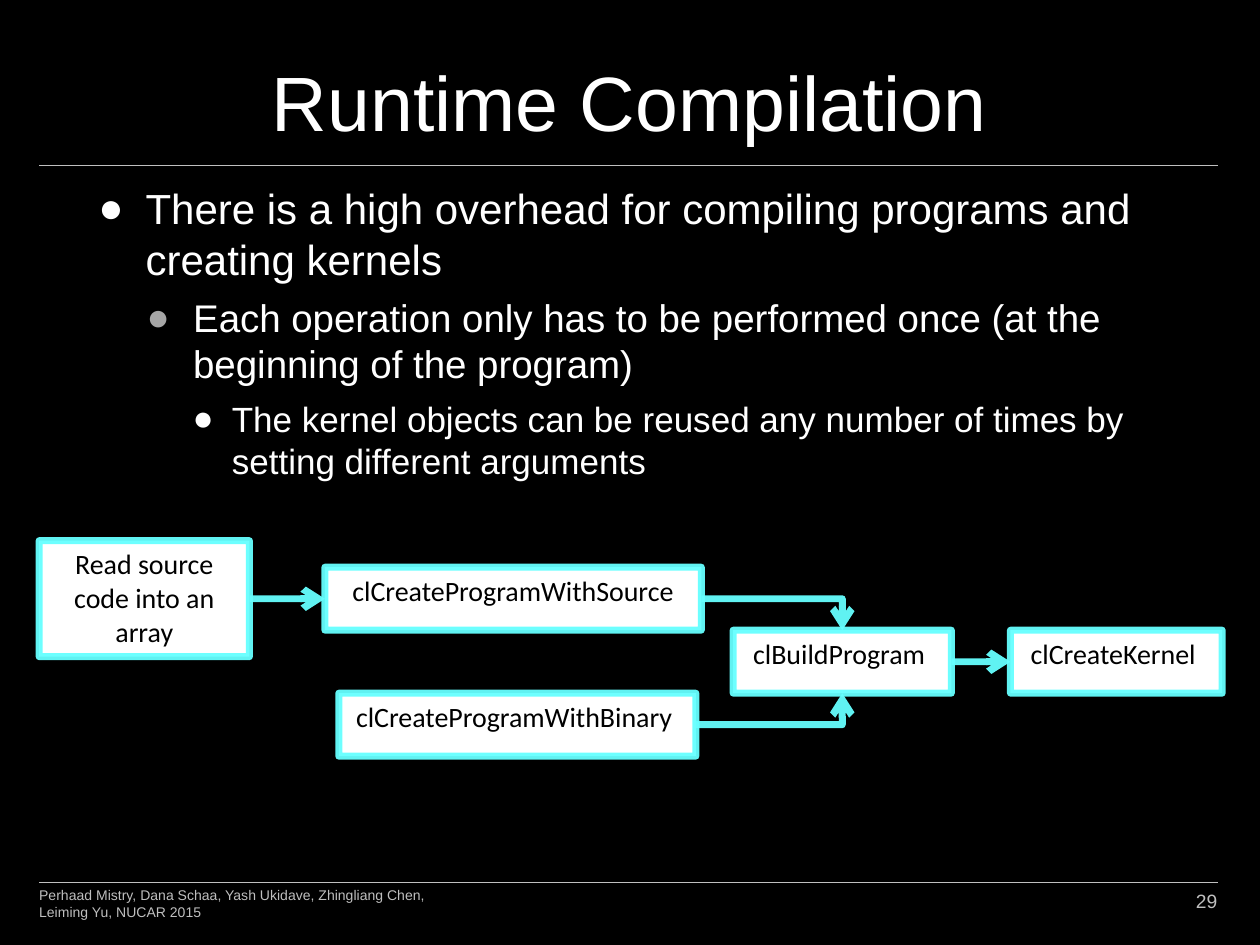
from lxml.etree import SubElement
from pptx import Presentation
from pptx.dml.color import RGBColor
from pptx.enum.shapes import MSO_CONNECTOR, MSO_SHAPE
from pptx.enum.text import MSO_ANCHOR, MSO_AUTO_SIZE, PP_ALIGN
from pptx.oxml.ns import qn
from pptx.util import Cm, Pt

COLORS = {"black": "000000", "white": "FFFFFF", "cyan": "66FFFF",
          "rule": "BFBFBF", "bullet": "A6A6A6"}
TOP, LEFT, BOTTOM, RIGHT = range(4)
MARGIN, RULE_RIGHT = 0.79, 24.56
ROW_TOP, ROW_STEP, BOX_H = 12.07, 1.27, 1.27

# text, left margin, first-line indent, space before, size, bullet colour
BULLETS = [
    ("There is a high overhead for compiling programs and creating kernels",
     0.95, -0.95, 20, 24, "white"),
    ("Each operation only has to be performed once (at the beginning of the program)",
     1.91, -0.94, 6, 22, "bullet"),
    ("The kernel objects can be reused any number of times by setting different arguments",
     2.69, -0.79, 6, 20, "white"),
]
# key: text, left, width, row, height
STEPS = {
    "source": ("clCreateProgramWithSource", 6.55, 7.59, 0, BOX_H),
    "binary": ("clCreateProgramWithBinary ", 6.83, 7.2, 2, BOX_H),
    "build": ("clBuildProgram ", 14.78, 4.4, 1, BOX_H),
    "kernel": ("clCreateKernel ", 20.37, 4.27, 1, BOX_H),
    "read": ("Read source code into an array", MARGIN, 4.24, 0, 2.34),
}
ARROWS = [("read", "source", LEFT), ("source", "build", TOP),
          ("binary", "build", BOTTOM), ("build", "kernel", LEFT)]


def rgb(name):
    return RGBColor.from_string(COLORS[name])


def apply(target, **values):
    for name, value in values.items():
        setattr(target, name, value)


def place(sp, left, top, width, height):
    apply(sp, left=Cm(left), top=Cm(top), width=Cm(width), height=Cm(height))


def write(p, text, size, color, font="Arial", align=PP_ALIGN.LEFT):
    p.alignment = align
    r = p.add_run()
    r.text = text
    apply(r.font, name=font, size=Pt(size))
    r.font.color.rgb = rgb(color)


def style_line(line, color, width, alpha=None):
    line.color.rgb = rgb(color)
    line.width = Pt(width)
    if alpha:
        clr = line.fill._xPr.find(".//" + qn("a:srgbClr"))
        SubElement(clr, qn("a:alpha"), val=str(alpha * 1000))


def add_title(s, text):
    sp = s.shapes.title
    place(sp, 1.78, 0.3, 21.82, 2.79)
    apply(sp.text_frame, vertical_anchor=MSO_ANCHOR.BOTTOM,
          auto_size=MSO_AUTO_SIZE.NONE)
    write(sp.text_frame.paragraphs[0], text, 44, "white", align=PP_ALIGN.CENTER)


def add_bullets(s):
    sp = s.placeholders[1]
    place(sp, 1.73, 3.56, 21.89, 7.14)
    tf = sp.text_frame
    tf.auto_size = MSO_AUTO_SIZE.NONE
    for level, (text, margin, indent, before, size, color) in enumerate(BULLETS):
        p = tf.add_paragraph() if level else tf.paragraphs[0]
        apply(p, level=level, space_before=Pt(before))
        write(p, text, size, "white")
        pPr = p._p.get_or_add_pPr()
        pPr.set("marL", str(Cm(margin)))
        pPr.set("indent", str(Cm(indent)))
        SubElement(SubElement(pPr, qn("a:buClr")), qn("a:srgbClr"), val=COLORS[color])
        SubElement(pPr, qn("a:buChar"), char="●")


def add_step(s, text, left, width, row, height):
    center = ROW_TOP + row * ROW_STEP
    sp = s.shapes.add_shape(MSO_SHAPE.RECTANGLE, Cm(left), Cm(center - height / 2),
                            Cm(width), Cm(height))
    sp.shadow.inherit = False
    sp.fill.solid()
    sp.fill.fore_color.rgb = rgb("white")
    style_line(sp.line, "cyan", 4, 95)
    apply(sp.text_frame, word_wrap=True, vertical_anchor=MSO_ANCHOR.TOP)
    write(sp.text_frame.paragraphs[0], text, 16, "black", "Calibri", PP_ALIGN.CENTER)
    return sp


def add_line(s, kind, ends=(0, 0, 0, 0)):
    c = s.shapes.add_connector(kind, *(Cm(v) for v in ends))
    SubElement(c._element.spPr, qn("a:effectLst"))
    return c


def add_rule(s, y):
    c = add_line(s, MSO_CONNECTOR.STRAIGHT, (MARGIN, y, RULE_RIGHT, y))
    style_line(c.line, "rule", 0.25)


def add_arrow(s, start, end, side):
    """Join the right of one box to a side of another, turning once if needed."""
    straight = side == LEFT
    c = add_line(s, MSO_CONNECTOR.STRAIGHT if straight else MSO_CONNECTOR.ELBOW)
    c.begin_connect(start, RIGHT)
    c.end_connect(end, side)
    if not straight:
        c._element.spPr.find(qn("a:prstGeom")).set("prst", "bentConnector2")
    style_line(c.line, "cyan", 4, 95)
    SubElement(c.line._get_or_add_ln(), qn("a:tailEnd"), type="arrow")


def add_footer(s, text, left, width, size, align, anchor):
    sp = s.shapes.add_textbox(Cm(left), Cm(17.65), Cm(width), Cm(1.02))
    apply(sp.text_frame, word_wrap=True, vertical_anchor=anchor,
          margin_left=0, margin_right=0)
    write(sp.text_frame.paragraphs[0], text, size, "rule", align=align)


def main():
    prs = Presentation()
    apply(prs, slide_width=Cm(25.4), slide_height=Cm(19.05))
    s = prs.slides.add_slide(prs.slide_layouts[1])
    s.background.fill.solid()
    s.background.fill.fore_color.rgb = rgb("black")

    for y in (3.33, 17.78):
        add_rule(s, y)
    add_title(s, "Runtime Compilation")
    add_bullets(s)
    boxes = {key: add_step(s, *step) for key, step in STEPS.items()}
    for start, end, side in ARROWS:
        add_arrow(s, boxes[start], boxes[end], side)
    add_footer(s, "29", 22.43, 2.11, 11, PP_ALIGN.RIGHT, MSO_ANCHOR.MIDDLE)
    add_footer(s, "Perhaad Mistry, Dana Schaa, Yash Ukidave, Zhingliang Chen, "
               "Leiming Yu, NUCAR 2015", MARGIN, 8.05, 8, PP_ALIGN.LEFT,
               MSO_ANCHOR.BOTTOM)
    prs.save("out.pptx")


if __name__ == "__main__":
    main()
